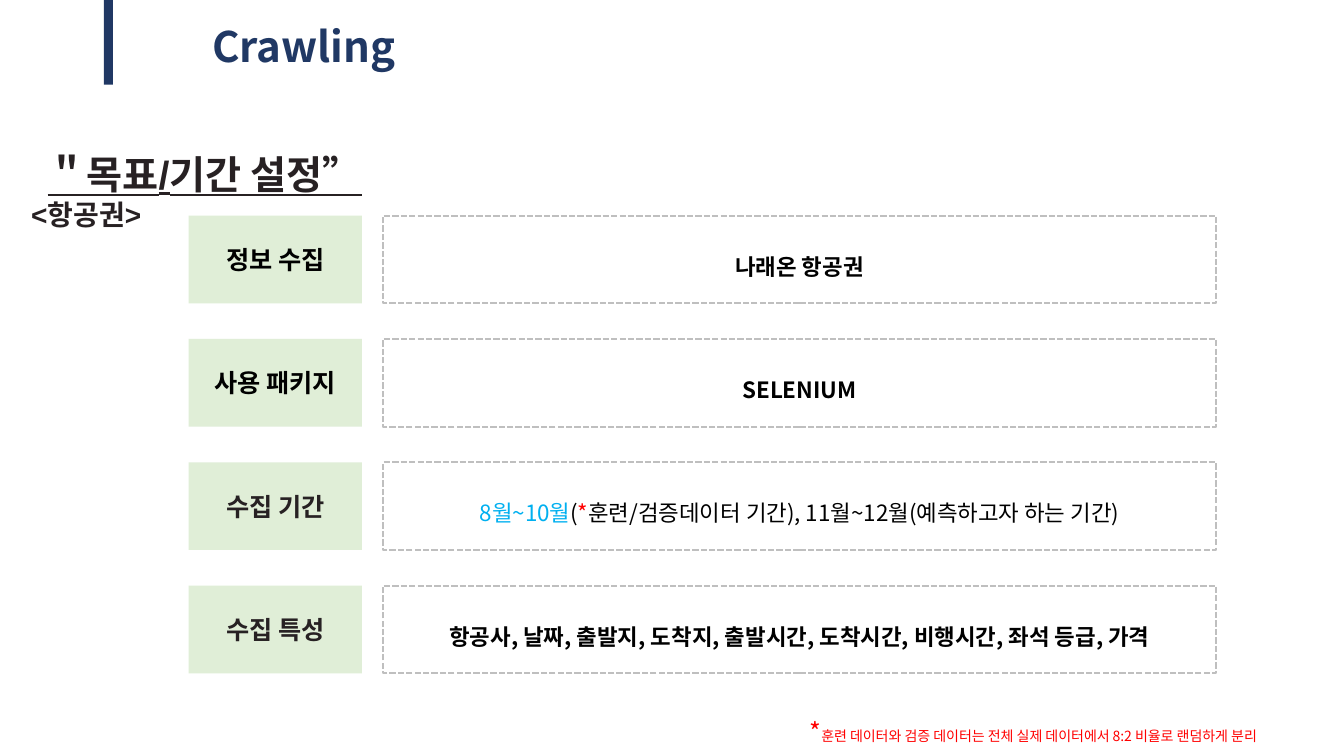
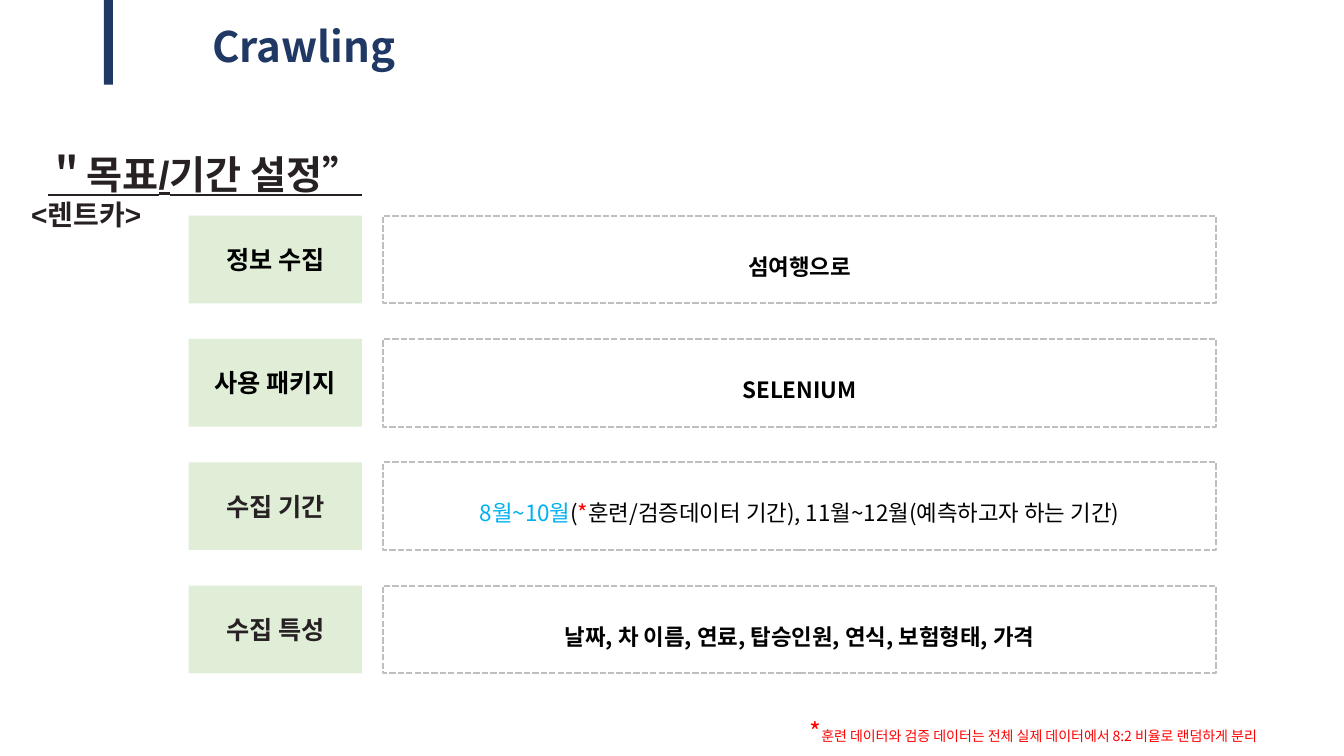
from lxml import etree
from pptx import Presentation
from pptx.dml.color import RGBColor
from pptx.enum.dml import MSO_LINE
from pptx.enum.shapes import MSO_SHAPE
from pptx.enum.text import MSO_ANCHOR, MSO_AUTO_SIZE, PP_ALIGN
from pptx.oxml import parse_xml
from pptx.oxml.ns import nsdecls, qn
from pptx.util import Inches, Pt

RECT = MSO_SHAPE.RECTANGLE
DASH = MSO_LINE.SQUARE_DOT
CENTER, LEFT = PP_ALIGN.CENTER, PP_ALIGN.LEFT
TOP, MIDDLE = MSO_ANCHOR.TOP, MSO_ANCHOR.MIDDLE
NO_AUTOFIT = MSO_AUTO_SIZE.NONE

NAVY = RGBColor(0x20, 0x38, 0x64)
INK = RGBColor(0x27, 0x21, 0x23)
BLACK = RGBColor(0, 0, 0)
GREEN = RGBColor(0xC5, 0xE0, 0xB4)
GRAY = RGBColor(0xBF, 0xBF, 0xBF)
BLUE = RGBColor(0x00, 0xB0, 0xF0)
RED = RGBColor(0xFF, 0, 0)
ARIAL, NOTO = "Arial", "Noto Sans CJK KR"

PERIOD = [("8월~10월", BLUE), ("(", BLACK), ("*", RED),
          ("훈련/검증데이터 기간), 11월~12월(예측하고자 하는 기간)", BLACK)]
SLIDES = [
    ("<항공권>", "나래온 항공권",
     "항공사, 날짜, 출발지, 도착지, 출발시간, 도착시간, 비행시간, 좌석 등급, 가격"),
    ("<렌트카>", "섬여행으로",
     "날짜, 차 이름, 연료, 탑승인원, 연식, 보험형태, 가격"),
]
ROW_TOP, ROW_SPAN, ROW_H = 2.14, 3.67, 0.87


def add_run(p, text, size, color, font=NOTO, bold=False, underline=False, outline=False):
    r = p.add_run()
    r.text = text
    r.font.size = Pt(size)
    r.font.bold = bold
    r.font.underline = underline
    r.font.color.rgb = color
    r.font.name = font
    rPr = r.font._element
    etree.SubElement(rPr, qn("a:ea")).set("typeface", NOTO)
    if outline:
        rPr.insert(0, parse_xml(
            f'<a:ln {nsdecls("a")} w="9525"><a:solidFill><a:srgbClr val="D9D9D9">'
            '<a:alpha val="30000"/></a:srgbClr></a:solidFill></a:ln>'))


def add_box(s, left, top, width, height):
    """Add a plain rectangle with centred text and return it with its paragraph."""
    box = s.shapes.add_shape(RECT, Inches(left), Inches(top), Inches(width), Inches(height))
    box.shadow.inherit = False
    box.fill.background()
    box.line.fill.background()
    tf = box.text_frame
    tf.word_wrap = True
    tf.vertical_anchor = MIDDLE
    tf.margin_left = tf.margin_right = Inches(0.13)
    tf.margin_top = tf.margin_bottom = Inches(0.06)
    p = tf.paragraphs[0]
    p.alignment = CENTER
    return box, p


prs = Presentation()
prs.slide_width, prs.slide_height = Inches(13.33), Inches(7.5)

for subject, site, features in SLIDES:
    s = prs.slides.add_slide(prs.slide_layouts[5])

    title = s.shapes.title
    title.left, title.top = Inches(1.87), Inches(0.15)
    title.width, title.height = Inches(2.29), Inches(0.61)
    tf = title.text_frame
    tf.auto_size = NO_AUTOFIT
    tf.vertical_anchor = TOP
    p = tf.paragraphs[0]
    p.alignment = CENTER
    p.line_spacing = 1.0
    add_run(p, "Crawling", 30, NAVY, bold=True)

    bar, _ = add_box(s, 1.03, 0, 0.09, 0.84)
    bar.fill.solid()
    bar.fill.fore_color.rgb = NAVY

    heading = s.shapes.add_textbox(Inches(0.21), Inches(1.44), Inches(3.64), Inches(0.91))
    tf = heading.text_frame
    tf.word_wrap = True
    p = tf.paragraphs[0]
    p.alignment = CENTER
    add_run(p, "＂목표/기간 설정”", 28, INK, ARIAL, bold=True, underline=True, outline=True)
    p = tf.add_paragraph()
    p.alignment = LEFT
    add_run(p, subject, 20, INK, ARIAL, bold=True, outline=True)

    rows = [
        ("정보 수집", BLACK, [(site, BLACK)], True),
        ("사용 패키지", BLACK, [("SELENIUM", BLACK)], True),
        ("수집 기간", INK, PERIOD, False),
        ("수집 특성", INK, [(features, BLACK)], True),
    ]
    for i, (name, name_color, parts, bold) in enumerate(rows):
        top = ROW_TOP + i * ROW_SPAN / (len(rows) - 1)

        label, p = add_box(s, 1.87, top, 1.72, ROW_H)
        label.fill.solid()
        label.fill.fore_color.rgb = GREEN
        rgb = label.fill._xPr.find(qn("a:solidFill"))[0]
        etree.SubElement(rgb, qn("a:alpha")).set("val", "53000")
        add_run(p, name, 18, name_color, ARIAL, bold=True, outline=True)

        detail, p = add_box(s, 3.8, top, 8.26, ROW_H)
        detail.line.color.rgb = GRAY
        detail.line.width = Pt(1.5)
        detail.line.dash_style = DASH
        p.line_spacing = 1.5
        for text, color in parts:
            add_run(p, text, 16, color, bold=bold)

    note = s.shapes.add_textbox(Inches(7.93), Inches(7.06), Inches(5.22), Inches(0.4))
    tf = note.text_frame
    tf.word_wrap = True
    p = tf.paragraphs[0]
    add_run(p, "*", 18, RED)
    add_run(p, "훈련 데이터와 검증 데이터는 전체 실제 데이터에서 8:2 비율로 랜덤하게 분리", 10, RED)

prs.save("out.pptx")
